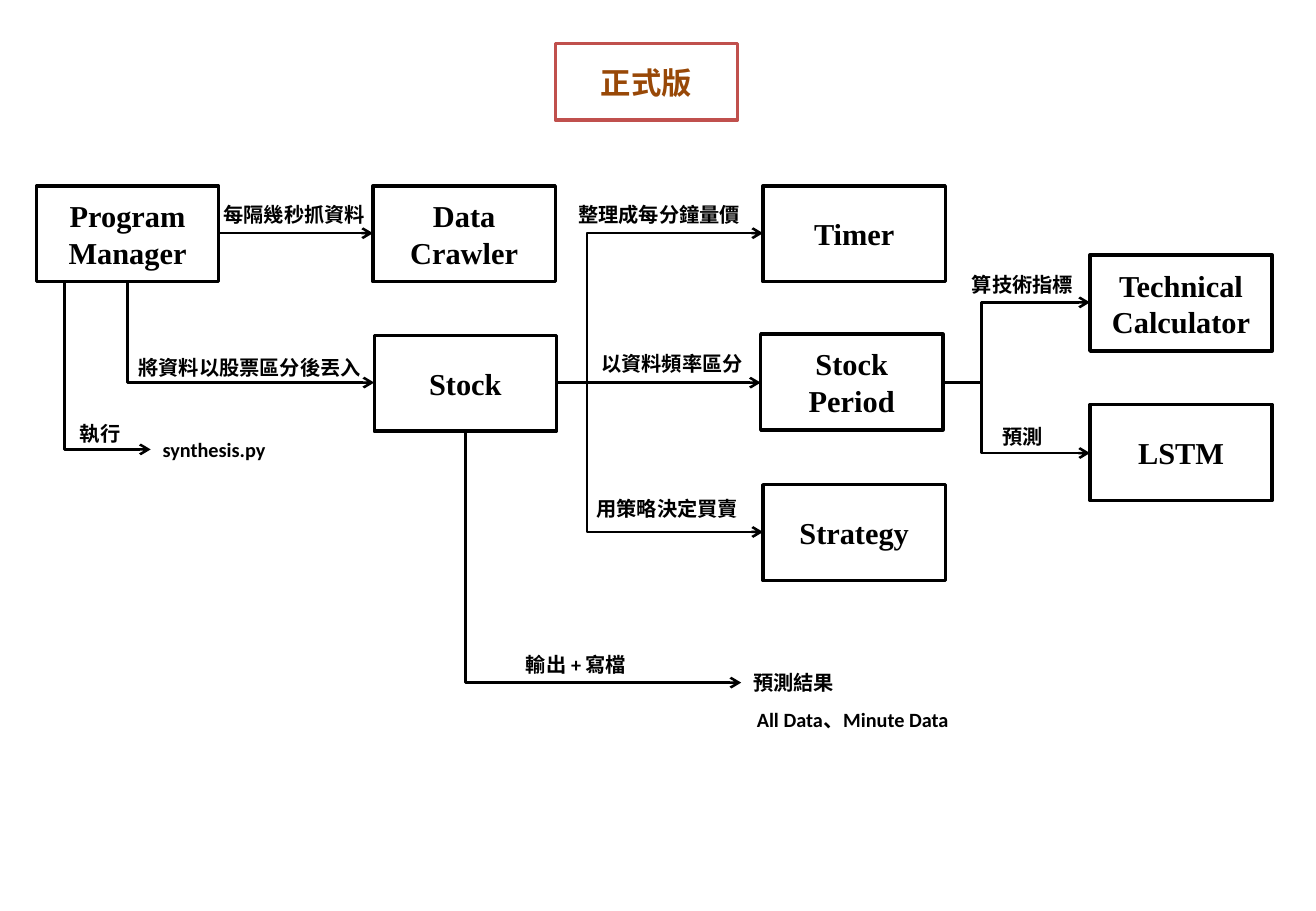
from lxml import etree
from pptx import Presentation
from pptx import util as u
from pptx.dml.color import RGBColor
from pptx.enum import shapes, text
from pptx.oxml import ns

BLACK = RGBColor(0x00, 0x00, 0x00)
WHITE = RGBColor(0xFF, 0xFF, 0xFF)
RED = RGBColor(0xC0, 0x50, 0x4D)
BROWN = RGBColor(0x98, 0x48, 0x07)

BOX_WIDTH, BOX_HEIGHT = 1.5, 0.79
LABEL_HEIGHT = 0.3
STOCK_Y = 3.15
STOCK_RIGHT, STOCK_BRANCH = 4.58, 4.83
PERIOD_RIGHT, PERIOD_BRANCH = 7.75, 8.08


class FlowPage:
    """Hold the style and the slide of the flow chart."""

    def __init__(self, page):
        """Remember the slide to draw on."""
        self.page = page

    def fill_text(self, frame, words, font_name, size, color):
        """Put one bold paragraph in a text frame and return it."""
        paragraph = frame.paragraphs[0]
        paragraph.text = words
        font = paragraph.font
        font.name, font.size, font.bold = font_name, u.Pt(size), True
        font.color.rgb = color
        return paragraph

    def box(self, words, left, top, height=BOX_HEIGHT, border=BLACK, color=BLACK):
        """Draw a white box with a centred name."""
        box = self.page.shapes.add_shape(
            shapes.MSO_SHAPE.RECTANGLE, u.Inches(left), u.Inches(top),
            u.Inches(BOX_WIDTH), u.Inches(height))
        box.shadow.inherit = False
        box.fill.solid()
        box.fill.fore_color.rgb = WHITE
        box.line.color.rgb = border
        box.line.width = u.Pt(2)
        box.text_frame.vertical_anchor = text.MSO_ANCHOR.MIDDLE
        paragraph = self.fill_text(box.text_frame, words, "Times New Roman", 18, color)
        paragraph.alignment = text.PP_ALIGN.CENTER

    def label(self, words, left, top, width, wrap=False):
        """Add a small label."""
        label = self.page.shapes.add_textbox(
            u.Inches(left), u.Inches(top), u.Inches(width), u.Inches(LABEL_HEIGHT))
        label.text_frame.word_wrap = wrap
        self.fill_text(label.text_frame, words, "Calibri", 12, BLACK)

    def arrow(self, start, end, kind=shapes.MSO_CONNECTOR.STRAIGHT):
        """Draw a connector with an open arrowhead at its end."""
        arrow = self.page.shapes.add_connector(
            kind, *(u.Inches(value) for value in start + end))
        arrow.line.color.rgb = BLACK
        arrow.line.width = u.Pt(1.5)
        properties = arrow.element.spPr
        line = properties.find(ns.qn("a:ln"))
        etree.SubElement(line, ns.qn("a:tailEnd"), type="arrow")
        etree.SubElement(properties, ns.qn("a:effectLst"))
        return arrow

    def branch(self, start, end, bend):
        """Draw an arrow that runs across, turns at x = bend, and runs across."""
        arrow = self.arrow(start, end, shapes.MSO_CONNECTOR.ELBOW)
        share = round((bend - start[0]) / (end[0] - start[0]) * 100000)
        guides = arrow.element.spPr.find(ns.qn("a:prstGeom")).find(ns.qn("a:avLst"))
        etree.SubElement(guides, ns.qn("a:gd"), name="adj1", fmla=f"val {share}")

    def corner(self, start, end):
        """Draw an arrow that runs down and then right."""
        arrow = self.arrow(start, end, shapes.MSO_CONNECTOR.ELBOW)
        across, down = end[0] - start[0], end[1] - start[1]
        arrow.left = u.Inches(start[0] + (across - down) / 2)
        arrow.top = u.Inches(start[1] + (down - across) / 2)
        arrow.width, arrow.height = u.Inches(down), u.Inches(across)
        properties = arrow.element.spPr
        properties.find(ns.qn("a:prstGeom")).set("prst", "bentConnector2")
        frame = properties.find(ns.qn("a:xfrm"))
        frame.set("rot", str(270 * 60000))
        frame.set("flipH", "1")


def main():
    """Build the slide and save it."""
    deck = Presentation()
    deck.slide_width, deck.slide_height = u.Inches(10.83), u.Inches(7.5)
    flow = FlowPage(deck.slides.add_slide(deck.slide_layouts[6]))

    flow.box("正式版", 4.57, 0.36, 0.63, RED, BROWN)
    for words, left, top in [
        ("Program Manager", 0.3, 1.53),
        ("Data Crawler", 3.07, 1.53),
        ("Timer", 6.28, 1.53),
        ("Stock", 3.08, 2.76),
        ("Stock Period", 6.26, 2.75),
        ("Strategy", 6.28, 3.99),
        ("Technical Calculator", 8.97, 2.1),
        ("LSTM", 8.97, 3.33),
    ]:
        flow.box(words, left, top)

    flow.arrow((1.79, 1.92), (3.07, 1.92))
    flow.arrow((STOCK_RIGHT, STOCK_Y), (6.26, STOCK_Y))
    for end_y in (1.92, 4.38):
        flow.branch((STOCK_RIGHT, STOCK_Y), (6.28, end_y), STOCK_BRANCH)
    for end_y in (2.49, 3.73):
        flow.branch((PERIOD_RIGHT, STOCK_Y), (8.97, end_y), PERIOD_BRANCH)
    for start, end in [
        ((1.05, 2.31), (3.08, STOCK_Y)),
        ((0.53, 2.31), (1.24, 3.7)),
        ((3.83, 3.55), (6.1, 5.62)),
    ]:
        flow.corner(start, end)

    for words, left, top, width in [
        ("每隔幾秒抓資料", 1.74, 1.62, 1.38),
        ("將資料以股票區分後丟入", 1.04, 2.88, 2.05),
        ("執行", 0.56, 3.42, 0.54),
        ("synthesis.py", 1.24, 3.55, 1.06),
        ("用策略決定買賣", 4.81, 4.04, 1.38),
        ("算技術指標", 7.9, 2.19, 1.04),
        ("預測", 8.15, 3.44, 0.54),
        ("預測結果", 6.1, 5.47, 0.88),
    ]:
        flow.label(words, left, top, width)
    for words, left, top, width in [
        ("整理成每分鐘量價", 4.66, 1.62, 1.67),
        ("以資料頻率區分", 4.85, 2.84, 1.67),
        ("輸出 + 寫檔", 4.23, 5.32, 1.04),
        ("All Data、Minute Data", 6.13, 5.77, 1.8),
    ]:
        flow.label(words, left, top, width, wrap=True)

    deck.save("out.pptx")


main()
